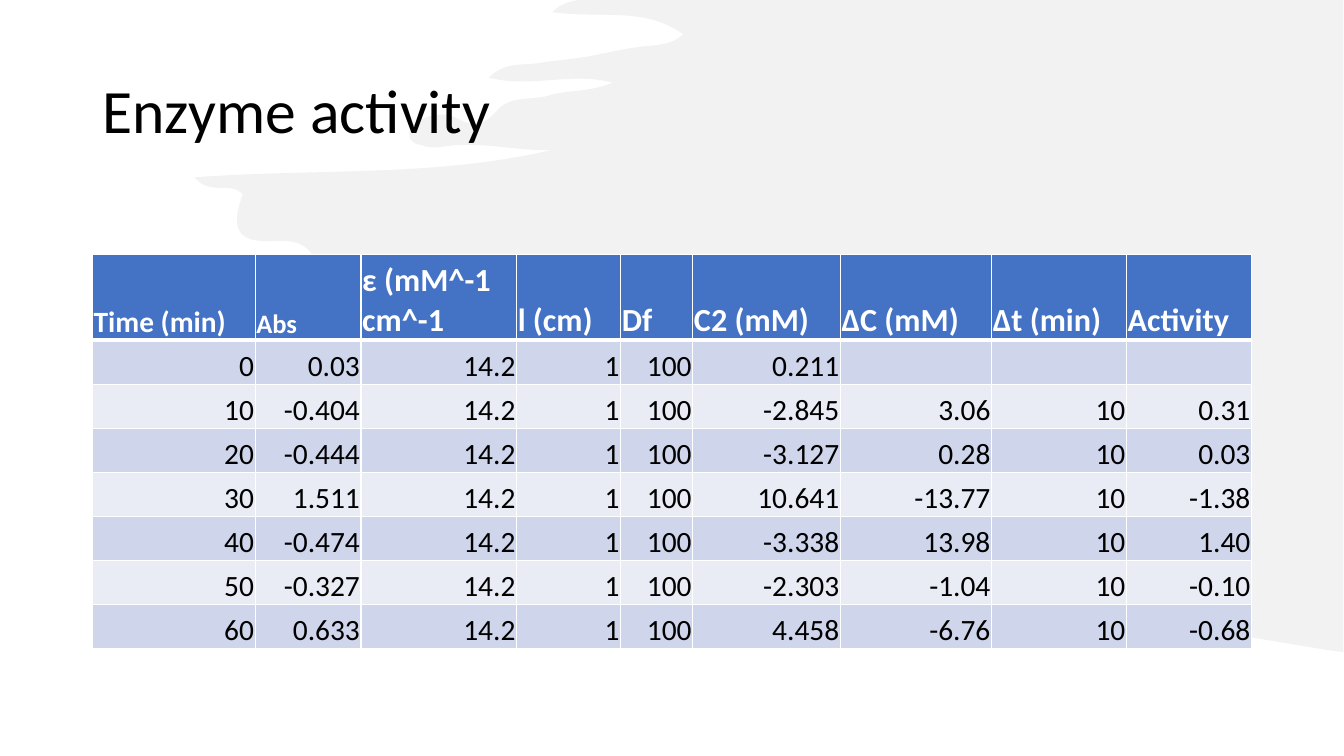
from dataclasses import dataclass

import lxml.etree
import pptx
import pptx.dml.color
import pptx.enum.text
import pptx.oxml.ns
import pptx.util

Cm = pptx.util.Cm
Pt = pptx.util.Pt
qn = pptx.oxml.ns.qn
FONT = "Calibri"
CM_PER_INCH = 2.54


@dataclass(frozen=True)
class Column:
    heading: str
    width: float
    heading_size: int = 23


@dataclass(frozen=True)
class Reading:
    minute: int
    absorbance: str
    concentration: str
    change: str = ""
    interval: str = "10"
    activity: str = ""

    def values(self) -> list[str]:
        return [str(self.minute), self.absorbance, "14.2", "1", "100",
                self.concentration, self.change, self.interval, self.activity]


COLUMNS = [
    Column("Time (min)", 4.1, 21),
    Column("Abs", 2.67, 19),
    Column("ε (mM^-1 cm^-1", 3.92),
    Column("l (cm)", 2.62),
    Column("Df", 1.82),
    Column("C2 (mM)", 3.72),
    Column("ΔC (mM)", 3.81),
    Column("Δt (min)", 3.4),
    Column("Activity", 3.15),
]

READINGS = [
    Reading(0, "0.03", "0.211", interval=""),
    Reading(10, "-0.404", "-2.845", "3.06", activity="0.31"),
    Reading(20, "-0.444", "-3.127", "0.28", activity="0.03"),
    Reading(30, "1.511", "10.641", "-13.77", activity="-1.38"),
    Reading(40, "-0.474", "-3.338", "13.98", activity="1.40"),
    Reading(50, "-0.327", "-2.303", "-1.04", activity="-0.10"),
    Reading(60, "0.633", "4.458", "-6.76", activity="-0.68"),
]

BRUSH_LEFT = 1.93
BRUSH_START = [(13.33, 0), (5.75, 0)]
BRUSH_CURVES = [
    (5.67, 0.01, 5.57, 0.03, 5.48, 0.12), (5.95, 0.19, 6.39, 0.06, 6.78, 0.34),
    (6.64, 0.47, 6.48, 0.44, 6.32, 0.47), (6.16, 0.49, 6, 0.53, 5.84, 0.56),
    (5.67, 0.59, 5.49, 0.6, 5.32, 0.63), (5.18, 0.65, 5.02, 0.61, 4.85, 0.77),
    (5.27, 0.88, 5.66, 0.71, 6.08, 0.82), (5.84, 0.92, 5.63, 0.89, 5.44, 0.95),
    (5.27, 1, 5.06, 0.94, 4.92, 1.11), (4.81, 1.24, 4.69, 1.26, 4.55, 1.18),
    (4.42, 1.11, 4.28, 1.13, 4.15, 1.2), (4.11, 1.23, 4.06, 1.26, 4.06, 1.32),
    (4.06, 1.41, 4.12, 1.43, 4.18, 1.44), (4.24, 1.46, 4.31, 1.47, 4.37, 1.46),
    (4.74, 1.39, 5.1, 1.5, 5.47, 1.49), (4.31, 1.76, 3.14, 1.67, 1.93, 1.76),
    (2.09, 1.95, 2.29, 1.79, 2.41, 1.93), (2.3, 2.22, 2.34, 2.37, 2.58, 2.39),
    (2.8, 2.41, 3.04, 2.31, 3.16, 2.65), (3.2, 2.76, 3.41, 2.73, 3.55, 2.75),
    (3.84, 2.79, 4.14, 2.75, 4.42, 2.88), (4.53, 2.93, 4.6, 2.97, 4.55, 3.11),
    (4.49, 3.25, 4.56, 3.3, 4.66, 3.36), (4.73, 3.4, 4.83, 3.39, 4.89, 3.52),
    (4.28, 3.5, 3.69, 3.4, 3.09, 3.5), (3.75, 3.74, 4.47, 3.73, 5.12, 4.02),
    (5.1, 4.12, 4.95, 4.07, 4.94, 4.22), (5.28, 4.38, 5.69, 4.27, 6.05, 4.5),
    (5.84, 4.61, 5.65, 4.44, 5.45, 4.54), (5.52, 4.69, 8.4, 5.61, 8.92, 5.71),
    (9.78, 5.87, 11.95, 6.25, 13.18, 6.45),
]
BRUSH_END = (13.33, 6.47)


def color(value: str) -> pptx.dml.color.RGBColor:
    return pptx.dml.color.RGBColor.from_string(value)


def from_inches(value: float) -> pptx.util.Length:
    return Cm(value * CM_PER_INCH)


def add_run(paragraph, text: str, size: int, font_color: str, bold: bool = False) -> None:
    run = paragraph.add_run()
    run.text = text
    run.font.name = FONT
    run.font.size = Pt(size)
    run.font.bold = bold
    run.font.color.rgb = color(font_color)


def bend_brush_edges(shape) -> None:
    edges = list(shape.element.iter(qn("a:lnTo")))[1:]
    for edge, curve in zip(edges, BRUSH_CURVES):
        bend = lxml.etree.Element(qn("a:cubicBezTo"))
        for x, y in zip(curve[::2], curve[1::2]):
            lxml.etree.SubElement(bend, qn("a:pt"), x=str(from_inches(x - BRUSH_LEFT)),
                                  y=str(from_inches(y)))
        edge.getparent().replace(edge, bend)


def add_brush(slide) -> None:
    corners = BRUSH_START + [curve[4:] for curve in BRUSH_CURVES] + [BRUSH_END]
    points = [(from_inches(x), from_inches(y)) for x, y in corners]
    builder = slide.shapes.build_freeform(*points[0])
    builder.add_line_segments(points[1:], close=True)
    shape = builder.convert_to_shape()
    bend_brush_edges(shape)
    shape.shadow.inherit = False
    shape.line.fill.background()
    shape.fill.solid()
    shape.fill.fore_color.rgb = color("E7E6E6")
    fill_color = shape.element.spPr.find(".//" + qn("a:srgbClr"))
    lxml.etree.SubElement(fill_color, qn("a:alpha"), val="50000")
    slide.shapes.title.element.addprevious(shape.element)


def format_title(title) -> None:
    title.left, title.top, title.width, title.height = Cm(2.33), Cm(1.01), Cm(29.21), Cm(3.68)
    frame = title.text_frame
    frame.word_wrap = True
    frame.auto_size = pptx.enum.text.MSO_AUTO_SIZE.NONE
    frame.vertical_anchor = pptx.enum.text.MSO_ANCHOR.MIDDLE
    paragraph = frame.paragraphs[0]
    paragraph.alignment = pptx.enum.text.PP_ALIGN.LEFT
    paragraph.line_spacing = 0.9
    add_run(paragraph, "Enzyme activity", 44, "000000")


def set_borders(cell, top: int, bottom: int) -> None:
    properties = cell._tc.get_or_add_tcPr()
    for side, width in (("L", 1), ("R", 1), ("T", top), ("B", bottom)):
        line = lxml.etree.SubElement(properties, qn(f"a:ln{side}"), w=str(Pt(width)))
        fill = lxml.etree.SubElement(line, qn("a:solidFill"))
        lxml.etree.SubElement(fill, qn("a:srgbClr"), val="FFFFFF")


def format_cell(cell, fill: str, top: int = 1, bottom: int = 1) -> None:
    set_borders(cell, top, bottom)
    cell.fill.solid()
    cell.fill.fore_color.rgb = color(fill)
    cell.margin_left = cell.margin_right = cell.margin_top = Cm(0.03)
    cell.margin_bottom = Cm(0)
    cell.vertical_anchor = pptx.enum.text.MSO_ANCHOR.BOTTOM


def add_activity_table(slide) -> None:
    width = sum(column.width for column in COLUMNS)
    table = slide.shapes.add_table(len(READINGS) + 1, len(COLUMNS),
                                   Cm(2.33), Cm(6.42), Cm(width), Cm(9.88)).table
    table.rows[0].height = Cm(2.15)
    for index, column in enumerate(COLUMNS):
        table.columns[index].width = Cm(column.width)
        cell = table.cell(0, index)
        format_cell(cell, "4472C4", bottom=3)
        add_run(cell.text_frame.paragraphs[0], column.heading, column.heading_size,
                "FFFFFF", bold=True)
    for row, reading in enumerate(READINGS, start=1):
        table.rows[row].height = Cm(1.11)
        for index, value in enumerate(reading.values()):
            cell = table.cell(row, index)
            format_cell(cell, "CFD5EA" if row % 2 else "E9EBF5", top=3 if row == 1 else 1)
            if value:
                paragraph = cell.text_frame.paragraphs[0]
                paragraph.alignment = pptx.enum.text.PP_ALIGN.RIGHT
                add_run(paragraph, value, 21, "000000")


def main() -> None:
    presentation = pptx.Presentation()
    presentation.slide_width, presentation.slide_height = Cm(33.87), Cm(19.05)
    slide = presentation.slides.add_slide(presentation.slide_layouts[5])
    format_title(slide.shapes.title)
    add_brush(slide)
    add_activity_table(slide)
    presentation.save("out.pptx")


if __name__ == "__main__":
    main()
